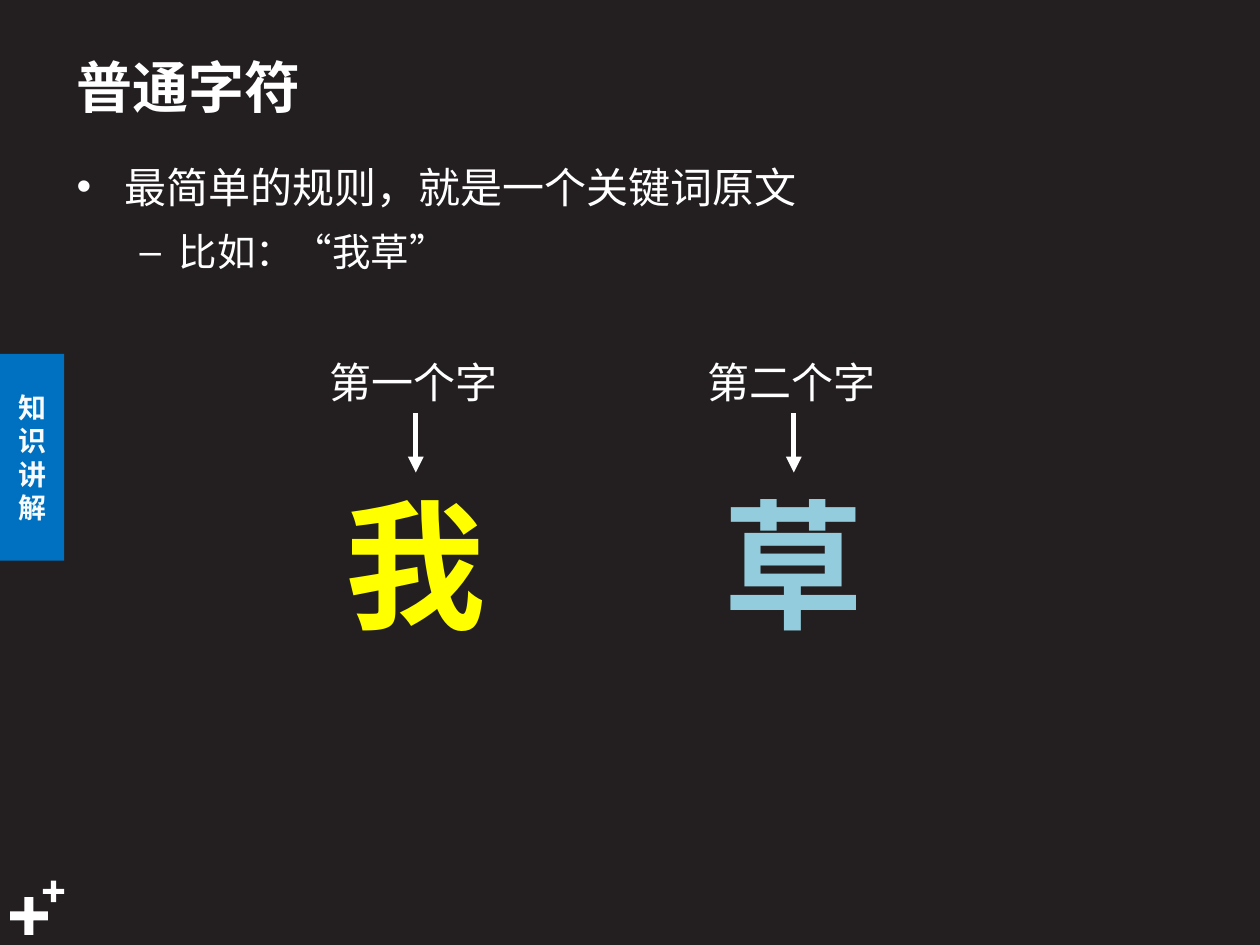
from lxml.etree import SubElement
from pptx import Presentation
from pptx.dml.color import RGBColor
from pptx.enum.shapes import MSO_CONNECTOR, MSO_SHAPE
from pptx.enum.text import MSO_ANCHOR, MSO_AUTO_SIZE, PP_ALIGN
from pptx.oxml.ns import qn
from pptx.util import Inches, Pt

THEME = {
    "bg": "231F20", "white": "FFFFFF", "tab": "0070C0", "tab_text": "F9FAFB",
    "first": "FFFF00", "second": "93CDDD",
    "cjk": "Noto Sans CJK SC", "latin": "Calibri",
    "title": 32, "body": 24, "sub": 22, "tab_size": 16, "glyph": 80,
}

prs = Presentation()
prs.slide_width, prs.slide_height = Inches(10), Inches(7.5)
COL, ROW = prs.slide_width / 100, prs.slide_height / 75
s = prs.slides.add_slide(prs.slide_layouts[6])
s.background.fill.solid()
s.background.fill.fore_color.rgb = RGBColor.from_string(THEME["bg"])


def grid(x, y, w, h):
    """Turn columns and rows into slide lengths."""
    return [round(v) for v in (x * COL, y * ROW, w * COL, h * ROW)]


def write(p, text, size, color="white", font="cjk", bold=None):
    """Add one formatted run to a paragraph."""
    r = p.add_run()
    r.text = text
    values = {"name": THEME[font], "size": Pt(THEME[size]), "bold": bold}
    for name, value in values.items():
        setattr(r.font, name, value)
    r.font.color.rgb = RGBColor.from_string(THEME[color])
    SubElement(r.font._element, qn("a:ea"), typeface=THEME["cjk"])


# Corner plus signs and side tab
for kind, box, color in [
    (MSO_SHAPE.CROSS, (0.8, 71.2, 3, 3), "white"),
    (MSO_SHAPE.CROSS, (3.4, 69.9, 1.7, 1.7), "white"),
    (MSO_SHAPE.RECTANGLE, (0, 28.1, 5.1, 16.4), "tab"),
]:
    sp = s.shapes.add_shape(kind, *grid(*box))
    sp.shadow.inherit = False
    sp.fill.solid()
    sp.fill.fore_color.rgb = RGBColor.from_string(THEME[color])
    sp.line.fill.background()
    if kind == MSO_SHAPE.CROSS:
        sp.adjustments[0] = 0.38
tf = sp.text_frame
tf.word_wrap, tf.vertical_anchor = True, MSO_ANCHOR.MIDDLE
tf.paragraphs[0].alignment = PP_ALIGN.CENTER
write(tf.paragraphs[0], "知识讲解", "tab_size", "tab_text", bold=True)

# Title
tf = s.shapes.add_textbox(*grid(5.1, 2.9, 74, 7.8)).text_frame
tf.word_wrap, tf.vertical_anchor = True, MSO_ANCHOR.MIDDLE
write(tf.paragraphs[0], "普通字符", "title", bold=True)

# Bulleted text
tf = s.shapes.add_textbox(*grid(5.1, 11.5, 88.2, 10.7)).text_frame
tf.word_wrap, tf.auto_size = True, MSO_AUTO_SIZE.SHAPE_TO_FIT_TEXT
for level, (text, size, bullet, margin, hang) in enumerate([
    ("最简单的规则，就是一个关键词原文", "body", "•", 0.38, 0.38),
    ("比如：“我草”", "sub", "–", 0.81, 0.31),
]):
    p = tf.paragraphs[0] if level == 0 else tf.add_paragraph()
    p.level, p.line_spacing = level, 1.2
    p.space_before = Pt(THEME[size] * 0.2)
    pPr = p._p.get_or_add_pPr()
    pPr.set("marL", str(Inches(margin)))
    pPr.set("indent", str(-Inches(hang)))
    SubElement(pPr, qn("a:buFont"), typeface="Arial")
    SubElement(pPr, qn("a:buChar"), char=bullet)
    write(p, text, size)

# Labelled characters, one per column
for center, label, glyph, color in [
    (33, "第一个字", "我", "first"),
    (63, "第二个字", "草", "second"),
]:
    ends = []
    for text, y, w, h, wrap, align, style in [
        (glyph, 37.5, 13.3, 14.5, False, PP_ALIGN.CENTER,
         {"size": "glyph", "color": color, "font": "latin", "bold": True}),
        (label, 27.8, 15.7, 5, True, PP_ALIGN.LEFT, {"size": "body"}),
    ]:
        sp = s.shapes.add_textbox(*grid(center - w / 2, y, w, h))
        tf = sp.text_frame
        tf.word_wrap, tf.auto_size = wrap, MSO_AUTO_SIZE.SHAPE_TO_FIT_TEXT
        tf.paragraphs[0].alignment = align
        write(tf.paragraphs[0], text, **style)
        ends.append(sp)

    # Arrow from label down to character
    line = s.shapes.add_connector(MSO_CONNECTOR.STRAIGHT, 0, 0, 0, 0)
    line.begin_connect(ends[1], 2)
    line.end_connect(ends[0], 0)
    line.line.width = Pt(3)
    line.line.color.rgb = RGBColor.from_string(THEME["white"])
    SubElement(line.line._get_or_add_ln(), qn("a:tailEnd"), type="triangle")
    SubElement(line._element.spPr, qn("a:effectLst"))

prs.save("out.pptx")
